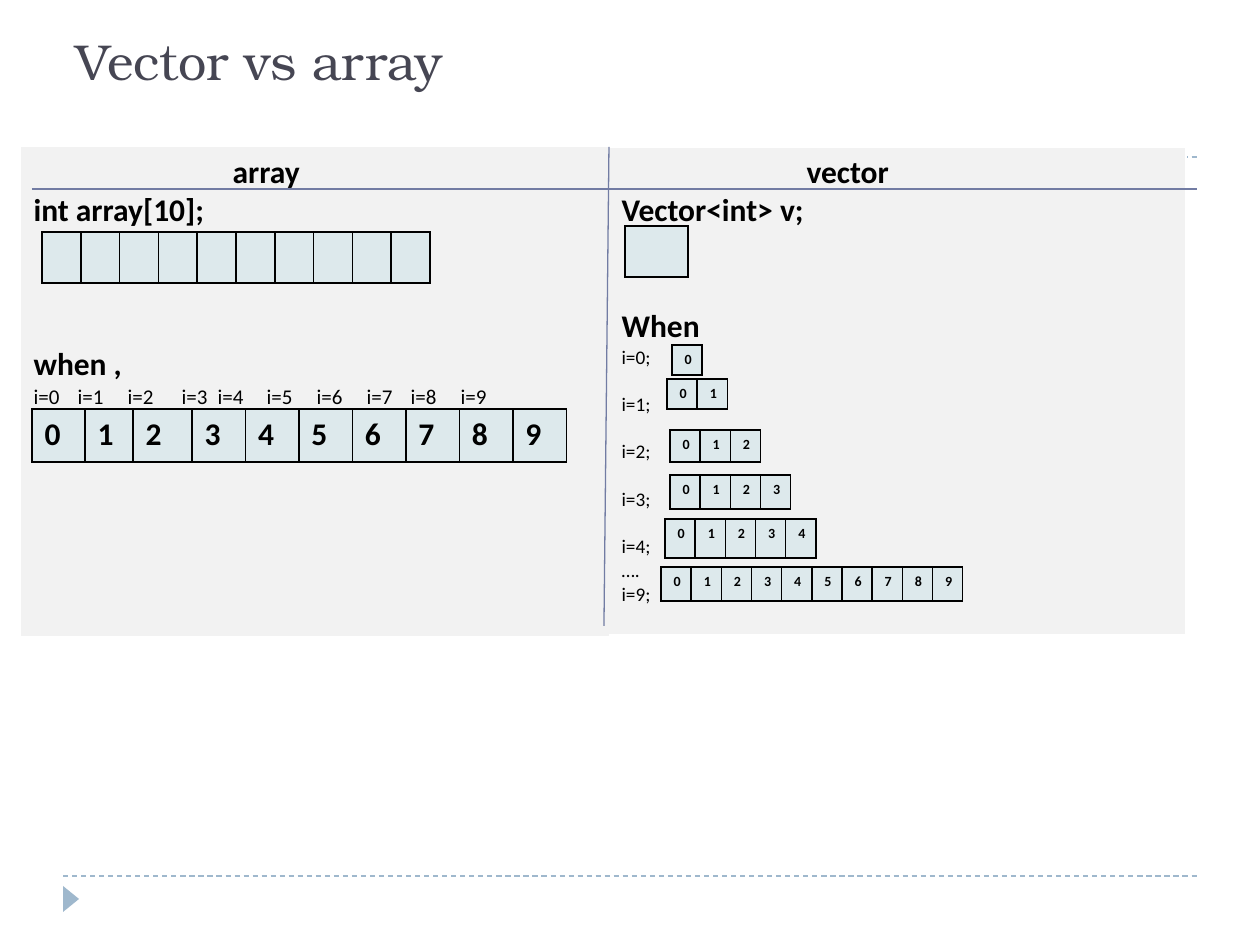
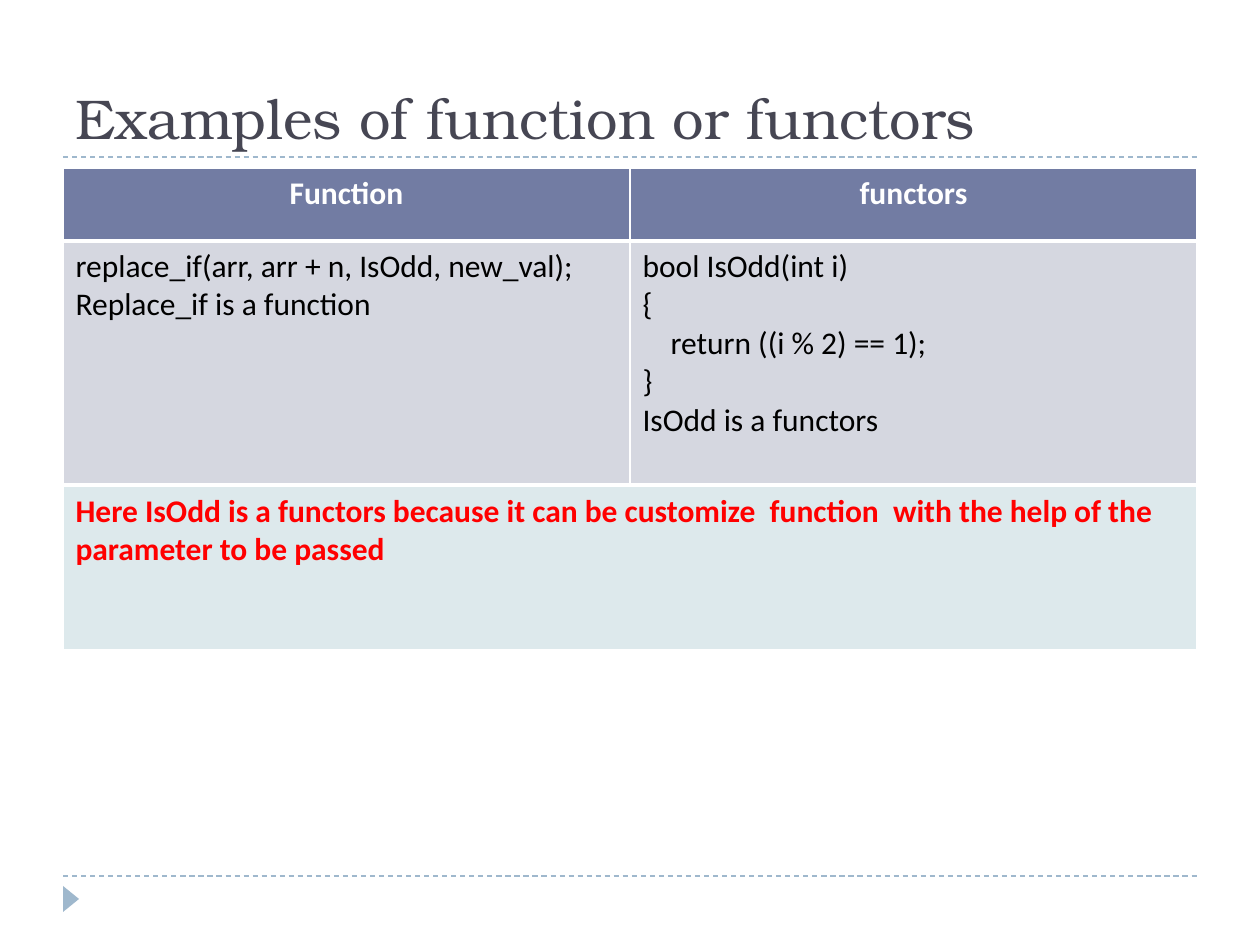
from dataclasses import dataclass

from lxml import etree
from pptx import Presentation
from pptx import util as u
from pptx.dml.color import RGBColor
from pptx.enum import dml, shapes, text
from pptx.oxml import ns

PX_PER_INCH = 126
TITLE_FONT = "TeX Gyre Bonum"
BODY_FONT = "Calibri"
COLORS = {
    "title": "464653",
    "rule": "9FB8CD",
    "accent": "727CA3",
    "panel": "F2F2F2",
    "cell": "DDE9EC",
    "body": "D5D7E0",
    "black": "000000",
    "white": "FFFFFF",
    "red": "FF0000",
}
BLACK_GRID = {side: ("black", 1) for side in "LRTB"}
WHITE_HEADER = {"L": ("white", 1), "R": ("white", 1), "T": ("white", 1), "B": ("white", 3)}
WHITE_BODY = {side: ("white", 1) for side in "LRB"}
NO_STYLE = "{2D5ABB26-0587-4C30-8999-92F81FD0307C}"


@dataclass
class Line:
    """One paragraph of a cell; before is in points, indent and tabs in px."""
    words: str
    size: int = 18
    bold: bool = False
    color: str = "black"
    before: float = 0
    indent: int = 0
    tabs: tuple = ()
    centered: bool = False


@dataclass
class Cell:
    lines: list
    fill: str = "cell"
    borders: dict = None


def px(length):
    return u.Inches(length / PX_PER_INCH)


def rgb(name):
    return RGBColor.from_string(COLORS[name])


def style_runs(paragraph, font_name, size, color, bold=False):
    for run in paragraph.runs:
        run.font.name = font_name
        run.font.size = u.Pt(size)
        run.font.bold = bold
        run.font.color.rgb = rgb(color)


def add_line(slide, x1, y1, x2, y2, color, dashed=False):
    line = slide.shapes.add_connector(
        shapes.MSO_CONNECTOR.STRAIGHT, px(x1), px(y1), px(x2), px(y2))
    line.line.color.rgb = rgb(color)
    line.line.width = u.Pt(0.75)
    if dashed:
        line.line.dash_style = dml.MSO_LINE.DASH
    etree.SubElement(line._element.spPr, ns.qn("a:effectLst"))


def add_slide(presentation, title, size, bottom_inset=6):
    """Add a slide with its title, the two dashed rules and the corner arrow."""
    slide = presentation.slides.add_slide(presentation.slide_layouts[5])
    shape = slide.shapes.title
    shape.left, shape.top, shape.width, shape.height = px(63), px(21), px(1134), px(136)
    frame = shape.text_frame
    frame.text = title
    frame.auto_size = text.MSO_AUTO_SIZE.NONE
    frame.vertical_anchor = text.MSO_ANCHOR.BOTTOM
    frame.margin_bottom = px(bottom_inset)
    paragraph = frame.paragraphs[0]
    paragraph.alignment = text.PP_ALIGN.LEFT
    style_runs(paragraph, TITLE_FONT, size, "title")

    for y in (157, 876):
        add_line(slide, 63, y, 1197, y, "rule", dashed=True)
    arrow = slide.shapes.add_shape(
        shapes.MSO_SHAPE.ISOSCELES_TRIANGLE, px(58), px(891), px(26), px(16))
    arrow.rotation = 90
    arrow.shadow.inherit = False
    arrow.fill.solid()
    arrow.fill.fore_color.rgb = rgb("rule")
    arrow.line.fill.background()
    return slide


def set_borders(table_cell, borders):
    properties = table_cell._tc.get_or_add_tcPr()
    for side in "LRTB":
        if side in borders:
            color, points = borders[side]
            border = etree.SubElement(
                properties, ns.qn(f"a:ln{side}"), w=str(u.Pt(points)))
            fill = etree.SubElement(border, ns.qn("a:solidFill"))
            etree.SubElement(fill, ns.qn("a:srgbClr"), val=COLORS[color])


def write_line(paragraph, line):
    paragraph.text = line.words
    style_runs(paragraph, BODY_FONT, line.size, line.color, line.bold)
    if line.before:
        paragraph.space_before = u.Pt(line.before)
    if line.centered:
        paragraph.alignment = text.PP_ALIGN.CENTER
    properties = paragraph._p.get_or_add_pPr()
    if line.indent:
        properties.set("marL", str(px(line.indent)))
    if line.tabs:
        tab_list = etree.SubElement(properties, ns.qn("a:tabLst"))
        for stop in line.tabs:
            etree.SubElement(tab_list, ns.qn("a:tab"), pos=str(px(stop)), algn="l")


def add_table(slide, left, top, widths, heights, rows):
    table = slide.shapes.add_table(
        len(heights), len(widths), px(left), px(top),
        px(sum(widths)), px(sum(heights))).table
    table.first_row = table.horz_banding = False
    table._tbl.tblPr[0].text = NO_STYLE
    for column, width in zip(table.columns, widths):
        column.width = px(width)
    for row, height, cells in zip(table.rows, heights, rows):
        row.height = px(height)
        for table_cell, cell in zip(row.cells, cells):
            set_borders(table_cell, cell.borders or {})
            table_cell.fill.solid()
            table_cell.fill.fore_color.rgb = rgb(cell.fill)
            frame = table_cell.text_frame
            for index, line in enumerate(cell.lines):
                paragraph = frame.add_paragraph() if index else frame.paragraphs[0]
                write_line(paragraph, line)


def add_boxes(slide, left, top, widths, height, size=None):
    """Draw a row of memory boxes, numbered from 0 when a size is given."""
    boxes = [Cell([Line(str(index), size, bold=True)] if size else [], borders=BLACK_GRID)
             for index in range(len(widths))]
    add_table(slide, left, top, widths, [height], [boxes])


def build_comparison(presentation):
    slide = add_slide(presentation, "Vector vs array", 28.8, bottom_inset=66)
    array_lines = [
        Line("array", bold=True, indent=199),
        Line("int array[10];", bold=True),
        Line("when ,", bold=True, before=66),
        Line("\t".join(f"i={index}" for index in range(10)), 12,
             tabs=(44, 94, 148, 184, 233, 283, 333, 377, 427)),
    ]
    vector_lines = [
        Line("vector", bold=True, indent=185),
        Line("Vector<int> v;", bold=True),
        Line("When", bold=True, before=44),
        Line("i=0;", 11),
        *[Line(f"i={index};", 11, before=13.5) for index in range(1, 5)],
        Line("….", 11),
        Line("i=9;", 11),
    ]
    vector_borders = {"R": ("white", 1), "T": ("white", 1), "B": ("white", 3)}
    add_table(slide, 21, 147, [588, 577], [489], [[
        Cell(array_lines, "panel"), Cell(vector_lines, "panel", vector_borders)]])
    add_line(slide, 32, 189, 1197, 189, "accent")
    add_line(slide, 609, 147, 604, 626, "accent")

    add_boxes(slide, 32, 409, [53, 48, 59] + [53.5] * 7, 53, size=18)
    add_boxes(slide, 42, 232, [38.8] * 10, 50)
    add_boxes(slide, 625, 226, [63], 50)
    vector_steps = [
        (672, 345, 1, 30), (667, 379, 2, 30), (670, 430, 3, 32),
        (670, 475, 4, 34), (665, 519, 5, 39), (661, 567, 10, 34),
    ]
    for left, top, count, height in vector_steps:
        add_boxes(slide, left, top, [30.2] * count, height, size=8)


def build_examples(presentation):
    slide = add_slide(presentation, "Examples of function or functors", 32)
    headings = [
        Cell([Line(name, bold=True, color="white", centered=True)], "accent", WHITE_HEADER)
        for name in ("Function", "functors")]
    function_lines = [
        Line("replace_if(arr, arr + n, IsOdd, new_val);"),
        Line("Replace_if is a function"),
    ]
    functor_lines = [
        Line("bool IsOdd(int i)"),
        Line("{"),
        Line("return ((i % 2) == 1);", indent=28),
        Line("}"),
        Line("IsOdd is a functors"),
    ]
    examples = [Cell(lines, "body", WHITE_BODY) for lines in (function_lines, functor_lines)]
    add_table(slide, 63, 168, [567, 567], [73, 243], [headings, examples])

    conclusion = Line(
        "Here IsOdd is a functors because it can be customize  function  "
        "with the help of the parameter to be passed", bold=True, color="red")
    add_table(slide, 63, 486, [1134], [165], [[Cell([conclusion], "cell", WHITE_HEADER)]])


def main():
    presentation = Presentation()
    presentation.slide_width, presentation.slide_height = px(1260), px(945)
    build_comparison(presentation)
    build_examples(presentation)
    presentation.save("out.pptx")


if __name__ == "__main__":
    main()
